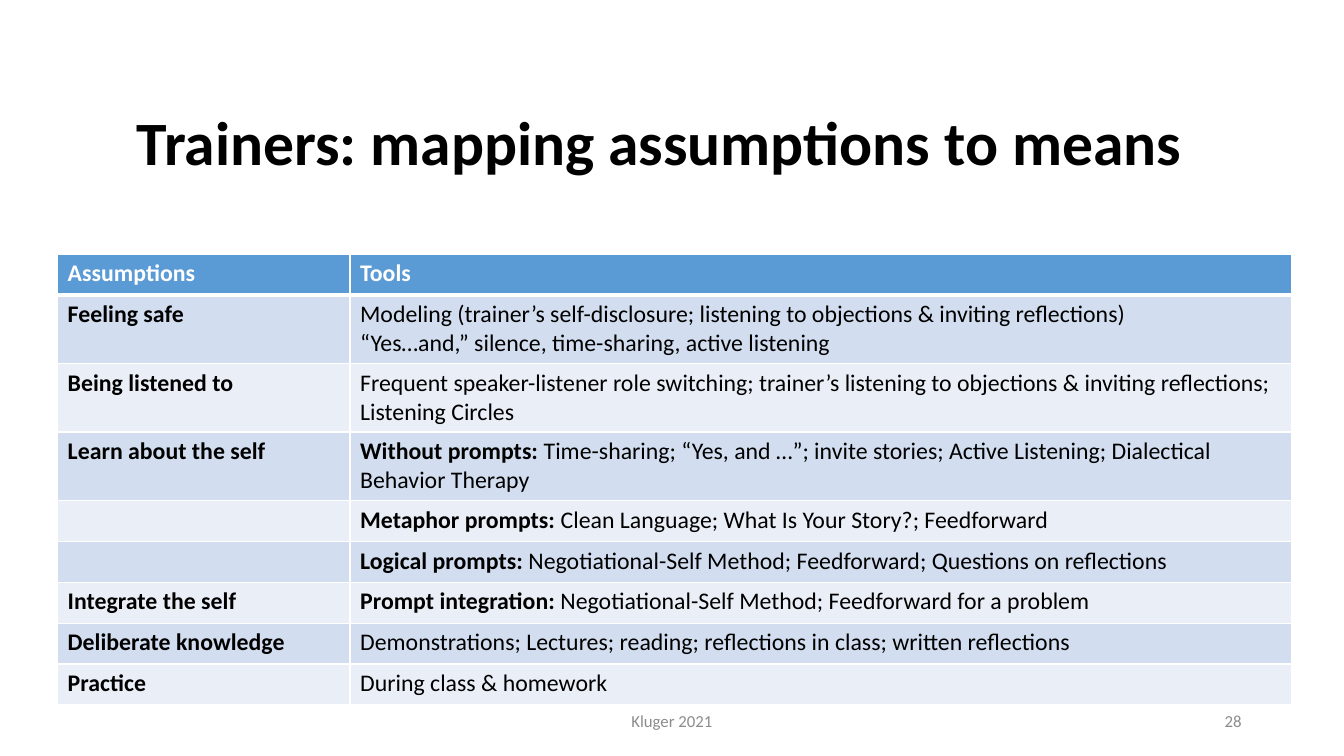
from lxml import etree
from pptx import Presentation
from pptx.dml.color import RGBColor
from pptx.enum.text import MSO_ANCHOR, PP_ALIGN
from pptx.oxml.ns import qn
from pptx.util import Pt

LEFT, CENTER, RIGHT = PP_ALIGN.LEFT, PP_ALIGN.CENTER, PP_ALIGN.RIGHT
MIDDLE = MSO_ANCHOR.MIDDLE
FONT = "Calibri"
COLORS = {
    "ink": "000000",
    "white": "FFFFFF",
    "footer": "8C8C8C",
    "header": "5B9BD5",
    "band_dark": "D2DEEF",
    "band_light": "EAEFF7",
}
SINGLE_ROW, DOUBLE_ROW = 29.25, 48.9
ASSUMPTIONS_SHARE = 0.237

HEADINGS = ("Assumptions", "Tools")
ROWS = [
    ("Feeling safe", "", [
        "Modeling (trainer’s self-disclosure; listening to objections & inviting reflections)",
        "“Yes…and,” silence, time-sharing, active listening",
    ], DOUBLE_ROW),
    ("Being listened to", "", [
        "Frequent speaker-listener role switching; trainer’s listening to objections "
        "& inviting reflections; Listening Circles",
    ], DOUBLE_ROW),
    ("Learn about the self", "Without prompts: ", [
        "Time-sharing; “Yes, and …”; invite stories; Active Listening; "
        "Dialectical Behavior Therapy",
    ], DOUBLE_ROW),
    ("", "Metaphor prompts: ", [
        "Clean Language; What Is Your Story?; Feedforward",
    ], SINGLE_ROW),
    ("", "Logical prompts: ", [
        "Negotiational-Self Method; Feedforward; Questions on reflections",
    ], SINGLE_ROW),
    ("Integrate the self", "Prompt integration: ", [
        "Negotiational-Self Method; Feedforward for a problem",
    ], SINGLE_ROW),
    ("Deliberate knowledge", "", [
        "Demonstrations; Lectures; reading; reflections in class; written reflections",
    ], SINGLE_ROW),
    ("Practice", "", ["During class & homework"], SINGLE_ROW),
]


def write_text(para, text, size=17, color="ink", bold=False, align=LEFT):
    para.alignment = align
    if text:
        span = para.add_run()
        span.text = text
        span.font.name = FONT
        span.font.size = Pt(size)
        span.font.bold = bold
        span.font.color.rgb = RGBColor.from_string(COLORS[color])


def add_label(page, box, text, line_spacing=1.0, **text_format):
    frame = page.shapes.add_textbox(*map(Pt, box)).text_frame
    frame.word_wrap = True
    frame.vertical_anchor = MIDDLE
    para = frame.paragraphs[0]
    para.line_spacing = line_spacing
    write_text(para, text, **text_format)


def style_cell(cell, fill, top=1, bottom=1):
    properties = cell._tc.get_or_add_tcPr()
    for side, width in (("L", 1), ("R", 1), ("T", top), ("B", bottom)):
        line = etree.SubElement(properties, qn(f"a:ln{side}"), w=str(Pt(width)))
        paint = etree.SubElement(line, qn("a:solidFill"))
        etree.SubElement(paint, qn("a:srgbClr"), val=COLORS["white"])
    cell.fill.solid()
    cell.fill.fore_color.rgb = RGBColor.from_string(COLORS[fill])


def fill_tools(cell, prompt, lines):
    frame = cell.text_frame
    write_text(frame.paragraphs[0], prompt, bold=True)
    write_text(frame.paragraphs[0], lines[0])
    for line in lines[1:]:
        write_text(frame.add_paragraph(), line)


def add_means_table(page, box):
    left, top, width, height = box
    table = page.shapes.add_table(
        len(ROWS) + 1, len(HEADINGS), Pt(left), Pt(top), Pt(width), Pt(height)
    ).table
    table.columns[0].width = Pt(width * ASSUMPTIONS_SHARE)
    table.columns[1].width = Pt(width * (1 - ASSUMPTIONS_SHARE))

    table.rows[0].height = Pt(SINGLE_ROW)
    for column, heading in enumerate(HEADINGS):
        cell = table.cell(0, column)
        style_cell(cell, "header", bottom=3)
        write_text(cell.text_frame.paragraphs[0], heading, color="white", bold=True)

    for index, (assumption, prompt, lines, row_height) in enumerate(ROWS, start=1):
        table.rows[index].height = Pt(row_height)
        name_cell, tools_cell = table.cell(index, 0), table.cell(index, 1)
        for cell in (name_cell, tools_cell):
            style_cell(cell, "band_dark" if index % 2 else "band_light",
                       top=3 if index == 1 else 1)
        write_text(name_cell.text_frame.paragraphs[0], assumption, bold=True)
        fill_tools(tools_cell, prompt, lines)


def add_footer(page, box):
    left, top, width, height = box
    center_width, number_width = 324, 216
    small = {"size": 12, "color": "footer"}
    add_label(page, (left + (width - center_width) / 2, top, center_width, height),
              "Kluger 2021", align=CENTER, **small)
    add_label(page, (left + width - number_width, top, number_width, height),
              "28", align=RIGHT, **small)


def main():
    deck = Presentation()
    deck.slide_width, deck.slide_height = Pt(960), Pt(540)
    page = deck.slides.add_slide(deck.slide_layouts[6])
    add_label(page, (90.7, 76.3, 779, 55.4), "Trainers: mapping assumptions to means",
              line_spacing=0.9, size=44, bold=True)
    add_footer(page, (66, 500.5, 828, 28.75))
    add_means_table(page, (41.2, 181.5, 881.3, 322.2))
    deck.save("out.pptx")


if __name__ == "__main__":
    main()
